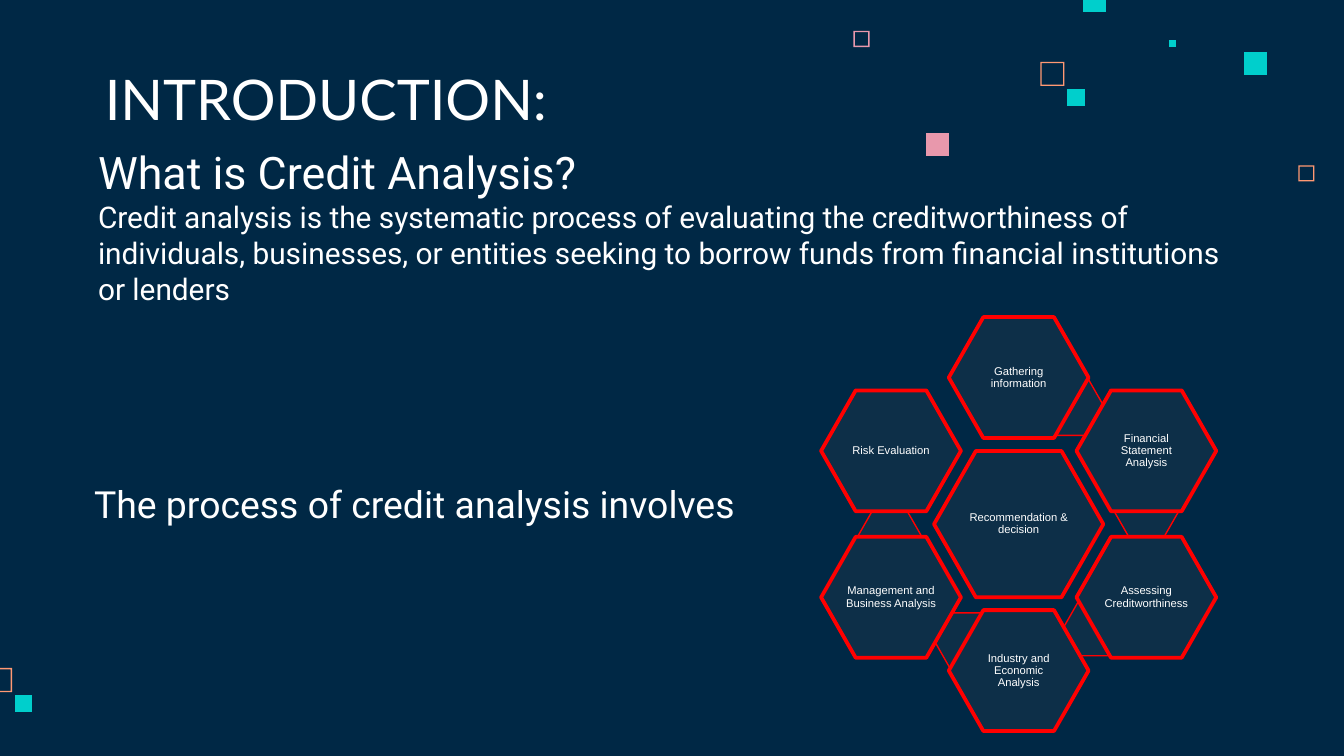
from pptx import Presentation
from pptx.dml.color import RGBColor
from pptx.enum.shapes import MSO_SHAPE
from pptx.enum.text import MSO_ANCHOR, MSO_AUTO_SIZE, PP_ALIGN
from pptx.util import Inches, Pt

HEXAGON = MSO_SHAPE.HEXAGON
MIDDLE, BOTTOM = MSO_ANCHOR.MIDDLE, MSO_ANCHOR.BOTTOM
LEFT, CENTER = PP_ALIGN.LEFT, PP_ALIGN.CENTER
NO_AUTOFIT = MSO_AUTO_SIZE.NONE

COLORS = {
    "navy": "002845",
    "cell": "0D2F48",
    "red": "FF0000",
    "teal": "00CFCC",
    "pink": "E898AC",
    "orange": "FF9973",
    "white": "FFFFFF",
}


def write(frame, lines, font, sizes, align, margins):
    frame.word_wrap = True
    frame.auto_size = NO_AUTOFIT
    frame.margin_left, frame.margin_top, frame.margin_right, frame.margin_bottom = map(Inches, margins)
    frame.text = "\n".join(lines)
    for paragraph, size in zip(frame.paragraphs, sizes):
        paragraph.alignment = align
        for run in paragraph.runs:
            run.font.name = font
            run.font.size = Pt(size)
            run.font.color.rgb = RGBColor.from_string(COLORS["white"])


def add_hexagon(left, top, width, height, line_width):
    hexagon = slide.shapes.add_shape(HEXAGON, *map(Inches, (left, top, width, height)))
    hexagon.adjustments[0] = 0.286
    hexagon.shadow.inherit = False
    hexagon.fill.solid()
    hexagon.fill.fore_color.rgb = RGBColor.from_string(COLORS["cell"])
    hexagon.line.color.rgb = RGBColor.from_string(COLORS["red"])
    hexagon.line.width = Pt(line_width)
    return hexagon


prs = Presentation()
prs.slide_width = Inches(10)
prs.slide_height = prs.slide_width * 9 // 16
slide = prs.slides.add_slide(prs.slide_layouts[5])
slide.background.fill.solid()
slide.background.fill.fore_color.rgb = RGBColor.from_string(COLORS["navy"])

border = Inches(0.01)
confetti = [
    (9.66, 1.23, 0.12, "orange", True),
    (6.35, 0.23, 0.12, "pink", True),
    (7.74, 0.46, 0.18, "orange", True),
    (8.7, 0.3, 0.05, "teal", False),
    (8.06, -0.08, 0.17, "teal", False),
    (9.26, 0.39, 0.17, "teal", False),
    (7.94, 0.66, 0.13, "teal", False),
    (6.89, 0.99, 0.17, "pink", False),
    (-0.09, 4.97, 0.18, "orange", True),
    (0.11, 5.17, 0.13, "teal", False),
]
for left, top, side, color, hollow in confetti:
    x, y, edge = Inches(left), Inches(top), Inches(side)
    outline = slide.shapes.build_freeform(x, y)
    outline.add_line_segments([(x, y + edge), (x + edge, y + edge), (x + edge, y)])
    if hollow:
        near_x, near_y = x + border, y + border
        far_x, far_y = x + edge - border, y + edge - border
        outline.move_to(far_x, near_y)
        outline.add_line_segments([(far_x, far_y), (near_x, far_y), (near_x, near_y)])
    square = outline.convert_to_shape()
    square.shadow.inherit = False
    square.fill.solid()
    square.fill.fore_color.rgb = RGBColor.from_string(COLORS[color])
    square.line.fill.background()

title = slide.shapes.title
title.left, title.top, title.width, title.height = map(Inches, (0.68, 0.45, 5.17, 0.63))
write(title.text_frame, ["INTRODUCTION:"], "Lato", [30], LEFT, [0.1] * 4)
title.text_frame.vertical_anchor = BOTTOM

passages = [
    ((0.45, 0.98, 8.76, 1.38), [24, 16], [
        "What is Credit Analysis?",
        "Credit analysis is the systematic process of evaluating the creditworthiness of individuals, "
        "businesses, or entities seeking to borrow funds from financial institutions or lenders",
    ]),
    ((0.42, 3.48, 7.16, 0.5), [20], ["The process of credit analysis involves"]),
]
for place, sizes, lines in passages:
    passage = slide.shapes.add_textbox(*map(Inches, place))
    write(passage.text_frame, lines, "Roboto", sizes, LEFT, (0.28, 0.1, 0.1, 0.1))

for link_left, link_top in [(7.74, 2.83), (8.29, 3.6), (7.91, 4.47), (6.95, 4.56), (6.38, 3.79)]:
    add_hexagon(link_left, link_top, 0.48, 0.41, 0.75)

hub_x, hub_y = 7.58, 3.9
column, row = 0.95, 1.09
steps = [
    ("Recommendation & decision", 0, 0, 1.26, 1.09),
    ("Gathering information", 0, -1, 1.04, 0.9),
    ("Financial Statement Analysis", 1, -0.5, 1.04, 0.9),
    ("Assessing Creditworthiness", 1, 0.5, 1.04, 0.9),
    ("Industry and Economic Analysis", 0, 1, 1.04, 0.9),
    ("Management and Business Analysis", -1, 0.5, 1.04, 0.9),
    ("Risk Evaluation", -1, -0.5, 1.04, 0.9),
]
for label, columns, rows, width, height in steps:
    left = hub_x + columns * column - width / 2
    top = hub_y + rows * row - height / 2
    step = add_hexagon(left, top, width, height, 2)
    write(step.text_frame, [label], "Arial", [6], CENTER, [0.01] * 4)
    step.text_frame.vertical_anchor = MIDDLE
    step.text_frame.paragraphs[0].line_spacing = 0.9

prs.save("out.pptx")
